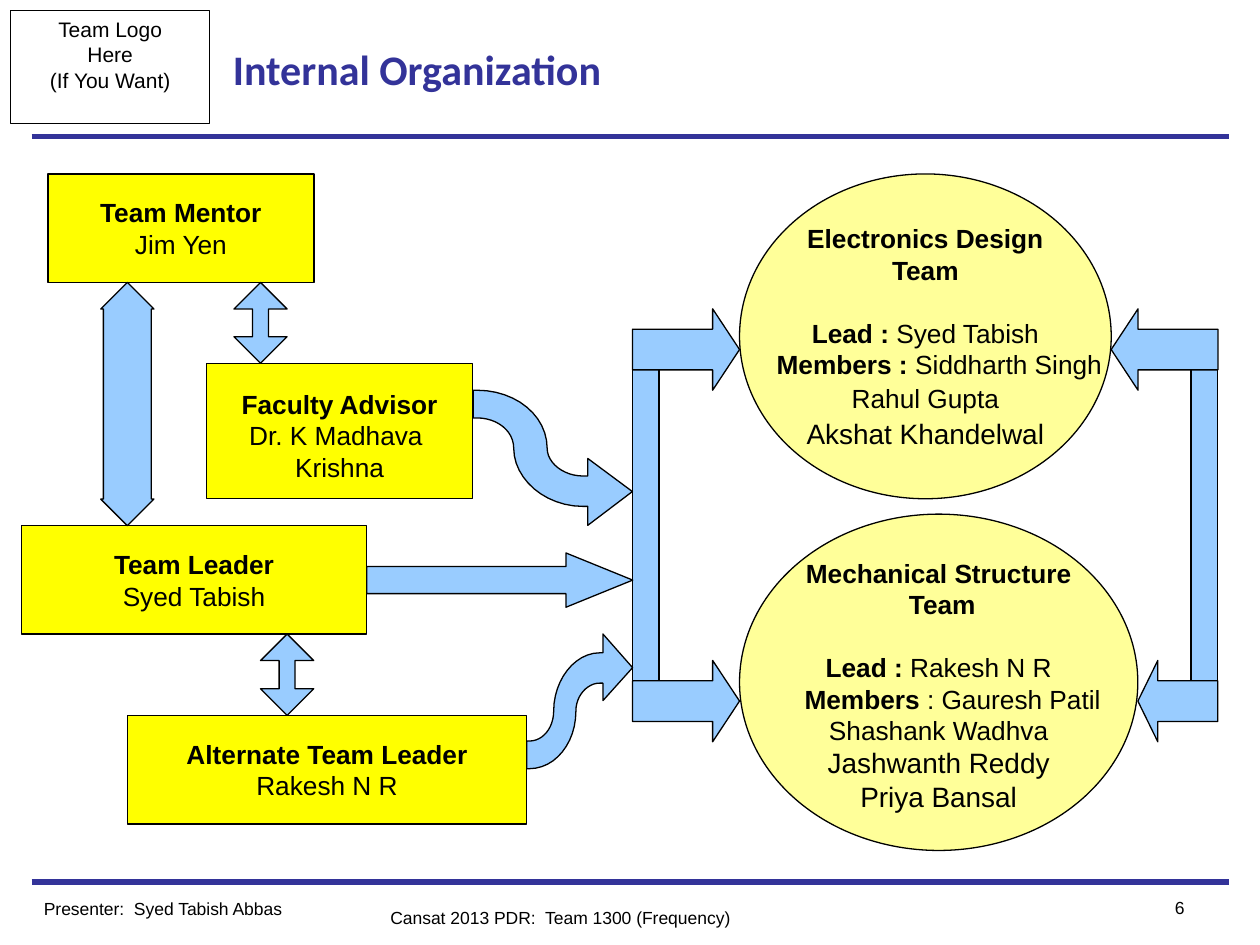
import pptx
import pptx.util
import pptx.dml.color
import pptx.enum.shapes
import pptx.enum.text
import pptx.oxml.ns
import lxml.etree

Pt = pptx.util.Pt
KIND = pptx.enum.shapes.MSO_SHAPE
ALIGN = pptx.enum.text.PP_ALIGN
ANCHOR = pptx.enum.text.MSO_ANCHOR
HUES = {"navy": "333399", "ink": "000000", "box": "FFFF00", "team": "FFFF99", "flow": "99CCFF"}
BEND = [
    [(45, 86), (25.5, 65.5), (25.5, 43)],
    [(25.5, 30), (15, 20.5), (2.5, 20.5)],
    [(0, 20.5)], [(0, 0)], [(2.5, 0)],
    [(27, 0), (46.5, 19), (46.5, 43)],
    [(46.5, 54), (57, 63.5), (69, 63.5)],
    [(72, 63.5)], [(72, 50.5)], [(100, 75)], [(72, 100)], [(72, 86)],
]


def hue(name):
    return pptx.dml.color.RGBColor.from_string(HUES[name])


def write(shape, lines, size=15, font="Arial", color="ink", align=ALIGN.CENTER,
          anchor=ANCHOR.MIDDLE, wrap=False, drop=0):
    frame = shape.text_frame
    frame.word_wrap = wrap
    frame.vertical_anchor = anchor
    frame.margin_left = frame.margin_right = Pt(7.2)
    frame.margin_top, frame.margin_bottom = Pt(3.6 + drop), Pt(3.6)
    for i, line in enumerate(lines):
        text, form = line if isinstance(line, tuple) else (line, {})
        para = frame.add_paragraph() if i else frame.paragraphs[0]
        para.alignment = align
        if "gap" in form:
            para.space_before = Pt(form["gap"])
        if "lead" in form:
            para.line_spacing = form["lead"]
        if "left" in form:
            para._p.get_or_add_pPr().set("marL", str(Pt(form["left"])))
        for j, part in enumerate(text.split("*")):
            if part:
                run = para.add_run()
                run.text = part
                run.font.name = font
                run.font.size = Pt(form.get("size", size))
                run.font.bold = j % 2 == 1
                run.font.color.rgb = hue(color)


def dress(shape, fill, width=0.75):
    shape.shadow.inherit = False
    if fill:
        shape.fill.solid()
        shape.fill.fore_color.rgb = hue(fill)
    else:
        shape.fill.background()
    shape.line.color.rgb = hue("ink")
    shape.line.width = Pt(width)


def block(slide, kind, at, fill, lines=(), width=0.75, **fmt):
    shape = slide.shapes.add_shape(kind, *map(Pt, at))
    dress(shape, fill, width)
    write(shape, lines, **fmt)


def arrow(slide, kind, at, head):
    shape = slide.shapes.add_shape(kind, *map(Pt, at))
    shape.adjustments[0] = 0.5
    shape.adjustments[1] = head
    dress(shape, "flow")


def curve(slide, at, flip=False):
    left, top, wide, high = at
    dots = [(69, 86)]
    for step in BEND:
        if len(step) == 1:
            dots += step
            continue
        ends = [dots[-1]] + step
        for n in range(1, 13):
            t = n / 12
            mix = ((1 - t) ** 3, 3 * t * (1 - t) ** 2, 3 * t * t * (1 - t), t ** 3)
            dots.append(tuple(sum(m * e[k] for m, e in zip(mix, ends)) for k in (0, 1)))
    spots = [(Pt(left + wide * x / 100), Pt(top + high * (100 - y if flip else y) / 100))
             for x, y in dots]
    form = slide.shapes.build_freeform(*spots[0])
    form.add_line_segments(spots[1:], close=True)
    dress(form.convert_to_shape(), "flow")


def rule(slide, y):
    line = slide.shapes.add_connector(pptx.enum.shapes.MSO_CONNECTOR.STRAIGHT,
                                      Pt(18), Pt(y), Pt(702), Pt(y))
    line.line.color.rgb = hue("navy")
    line.line.width = Pt(3)
    lxml.etree.SubElement(line._element.spPr, pptx.oxml.ns.qn("a:effectLst"))


def label(slide, at, text, **fmt):
    write(slide.shapes.add_textbox(*map(Pt, at)), [text], wrap=True, **fmt)


def main():
    deck = pptx.Presentation()
    deck.slide_width, deck.slide_height = Pt(720), Pt(540)
    slide = deck.slides.add_slide(deck.slide_layouts[6])

    for y in (504, 78):
        rule(slide, y)
    block(slide, KIND.RECTANGLE, (6, 6, 114, 64.8), None,
          ["Team Logo", "Here", "(If You Want)"], width=0.5, size=12, anchor=ANCHOR.TOP)
    label(slide, (126, 6, 468, 66), "*Internal Organization*", size=24,
          font="Calibri", color="navy", align=ALIGN.LEFT)

    for at, lines, drop in (
        ((27.4, 99.4, 152, 62), ["*Team Mentor*", "Jim Yen"], 0),
        ((118.1, 207.6, 152, 77.2), ["*Faculty Advisor*", "Dr. K Madhava ", "Krishna"], 5),
        ((12.2, 300.3, 197.4, 62), ["*Team Leader*", "Syed Tabish"], 0),
        ((72.8, 408.8, 228.2, 62), ["*Alternate Team Leader*", "Rakesh N R"], 0),
    ):
        block(slide, KIND.RECTANGLE, at, "box", lines, drop=drop)
    for left, top, high, head in ((133.7, 161.4, 46.2, 0.3), (57.6, 161.4, 139, 0.9),
                                  (148.9, 362.3, 46.5, 0.3)):
        arrow(slide, KIND.UP_DOWN_ARROW, (left, top, 30.4, high), head)

    block(slide, KIND.OVAL, (422.6, 99.4, 212.4, 185.6), "team", [
        "*Electronics Design*", "*Team*",
        ("*Lead : *Syed Tabish", {"gap": 18}),
        ("*Members : *Siddharth Singh", {"left": 16}),
        ("Rahul Gupta", {"lead": 1.08}),
        ("Akshat Khandelwal", {"lead": 1.08, "size": 16}),
    ])
    block(slide, KIND.OVAL, (422.6, 293.8, 227.6, 192.2), "team", [
        "*Mechanical Structure*", "* Team*",
        ("*Lead : *Rakesh N R", {"gap": 18}),
        ("*Members* : Gauresh Patil", {"left": 16}),
        "Shashank Wadhva",
        ("Jashwanth Reddy", {"size": 16}),
        ("Priya Bansal", {"size": 16}),
    ], drop=3)

    for left, top in ((361.4, 192.3), (680.6, 207.6)):
        block(slide, KIND.RECTANGLE, (left, top, 15.2, 408.8 - top), "flow")
    for top in (377.4, 176.5):
        arrow(slide, KIND.RIGHT_ARROW, (361.4, top, 61.2, 46.5), 0.33)
    curve(slide, (301, 362.3, 60.5, 77), flip=True)
    arrow(slide, KIND.RIGHT_ARROW, (209.6, 316, 152, 31), 1.23)
    curve(slide, (270.4, 223, 91, 77.2))
    arrow(slide, KIND.LEFT_ARROW, (635, 176.5, 61, 46.5), 0.33)
    arrow(slide, KIND.LEFT_ARROW, (650.2, 377.4, 45.6, 46.5), 0.25)

    for at, text, align in (
        ((630, 509, 54, 19.4), "6", ALIGN.RIGHT),
        ((216, 514.8, 288, 19.4), "Cansat 2013 PDR:  Team 1300 (Frequency)", ALIGN.LEFT),
        ((18, 509.8, 180, 19.4), "Presenter:  Syed Tabish Abbas", ALIGN.LEFT),
    ):
        label(slide, at, text, size=10, align=align, anchor=ANCHOR.TOP)
    deck.save("out.pptx")


if __name__ == "__main__":
    main()
